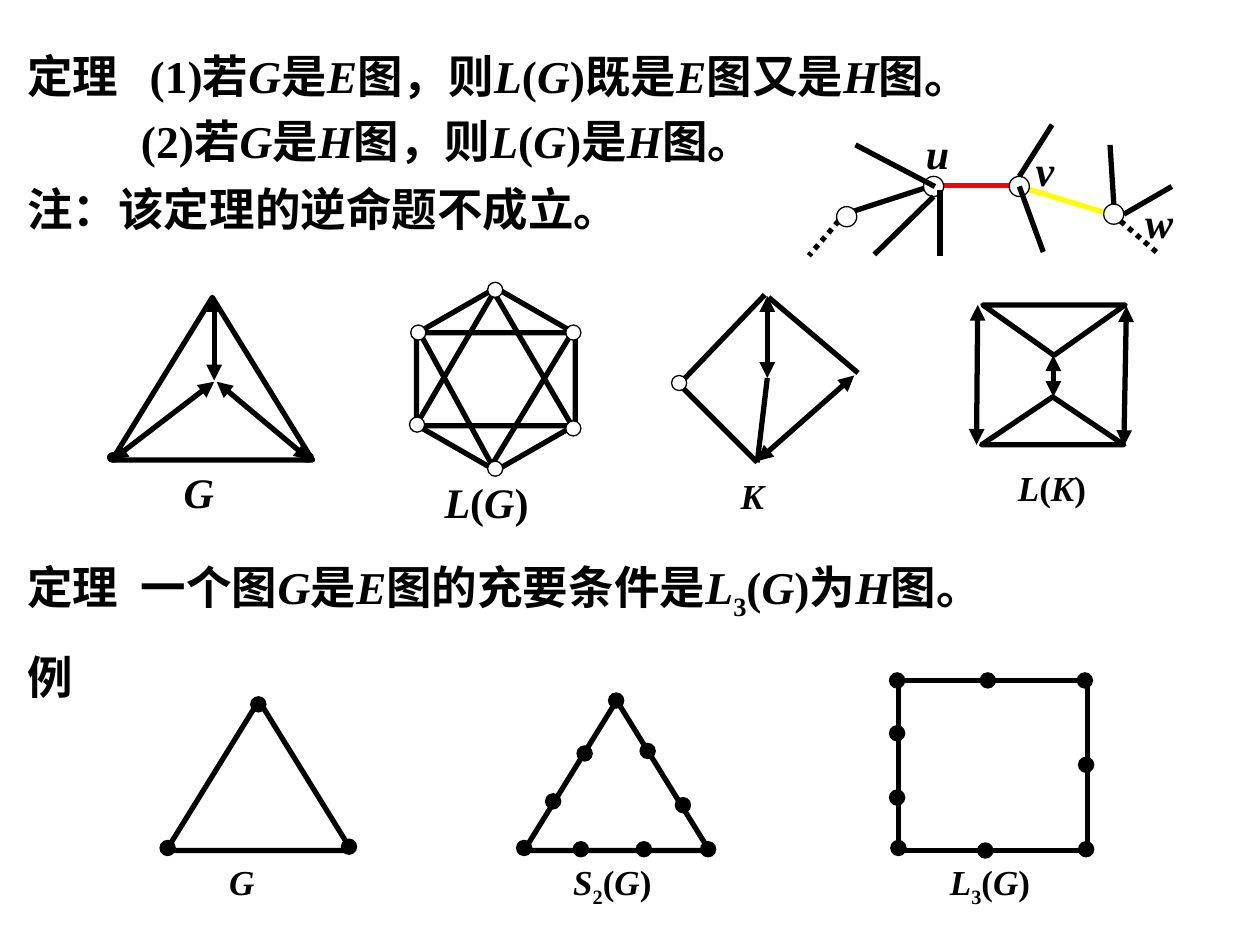
from dataclasses import dataclass

import pptx
import pptx.dml.color
import pptx.enum.dml
import pptx.enum.shapes
import pptx.enum.text
import pptx.oxml.ns
import pptx.util
from lxml import etree

Inches = pptx.util.Inches
Pt = pptx.util.Pt
RGBColor = pptx.dml.color.RGBColor
Preset = pptx.enum.shapes.MSO_SHAPE
qn = pptx.oxml.ns.qn

BLACK = RGBColor(0, 0, 0)
WHITE = RGBColor(255, 255, 255)
RED = RGBColor(255, 0, 0)
YELLOW = RGBColor(255, 255, 0)
DOTTED = pptx.enum.dml.MSO_LINE.ROUND_DOT
FRAME_FORMAT = {
    "word_wrap": True,
    "auto_size": pptx.enum.text.MSO_AUTO_SIZE.SHAPE_TO_FIT_TEXT,
}
FONT_FORMAT = {"name": "Times New Roman", "bold": True}


@dataclass
class Line:
    text: str
    indent: float = 0
    tab: float = 0


@dataclass
class Label:
    left: float
    top: float
    width: float
    height: float
    size: int
    lines: list[Line]


@dataclass
class Edge:
    start: tuple[float, float]
    end: tuple[float, float]
    tip: str = ""
    color: RGBColor = BLACK
    dash: object = None
    width: float = 3


@dataclass
class Outline:
    preset: object
    left: float
    top: float
    width: float
    height: float
    adjust: float = 0.5
    rotation: int = 0


@dataclass
class Nodes:
    fill: RGBColor
    size: float
    centres: list[tuple[float, float]]


EDGES = [
    Edge((1.7, 2.35), (1.7, 3.02), "triangle"),
    Edge((0.89, 3.63), (0.91, 3.63), "oval", width=1.5),
    Edge((2.43, 3.63), (2.45, 3.63), "oval", width=1.5),
    Edge((1.7, 3.03), (0.89, 3.65), "triangle"),
    Edge((1.72, 3.03), (2.46, 3.65), "triangle"),
    Edge((6.09, 3), (6.09, 2.35), "triangle"),
    Edge((6.1, 2.36), (6.81, 2.96)),
    Edge((6.07, 2.34), (5.39, 3.05)),
    Edge((6.78, 2.98), (6.01, 3.66), "triangle"),
    Edge((5.39, 3.05), (6.01, 3.67)),
    Edge((6.09, 3), (6.01, 3.67)),
    Edge((8.36, 2.82), (8.36, 3.15), "triangle"),
    Edge((7.76, 2.42), (7.75, 3.53), "triangle"),
    Edge((8.94, 2.43), (8.92, 3.54), "triangle"),
    Edge((7.41, 1.47), (6.7, 1.7)),
    Edge((7.41, 1.47), (8.08, 1.47), color=RED),
    Edge((8.06, 1.47), (8.81, 1.7), color=YELLOW),
    Edge((8.83, 1.7), (9.2, 2.02), dash=DOTTED),
    Edge((6.71, 1.69), (6.42, 2.03), dash=DOTTED),
]
SPOKES = [
    Edge((7.42, 1.48), (6.79, 1.15)),
    Edge((7.41, 1.56), (6.94, 2.02)),
    Edge((7.46, 1.51), (7.46, 2.03)),
    Edge((8.09, 1.4), (8.35, 0.99)),
    Edge((8.09, 1.48), (8.28, 2)),
    Edge((8.92, 1.7), (9.3, 1.48)),
    Edge((8.84, 1.62), (8.81, 1.15)),
]
TRIANGLE = Preset.ISOSCELES_TRIANGLE
OUTLINES = [
    Outline(TRIANGLE, 0.89, 2.36, 1.59, 1.29),
    Outline(Preset.HEXAGON, 3.21, 2.38, 1.45, 1.26, 0.287, 90),
    Outline(TRIANGLE, 3.3, 2.32, 1.24, 1.06),
    Outline(TRIANGLE, 3.33, 2.64, 1.21, 1.05, 0.526, 180),
    Outline(TRIANGLE, 7.79, 3.15, 1.13, 0.38),
    Outline(TRIANGLE, 7.8, 2.42, 1.13, 0.4, rotation=180),
    Outline(TRIANGLE, 1.32, 5.56, 1.47, 1.19),
    Outline(TRIANGLE, 4.16, 5.56, 1.47, 1.19),
    Outline(Preset.RECTANGLE, 7.13, 5.4, 1.5, 1.35),
]
NODES = [
    Nodes(WHITE, 0.12, [(3.93, 3.72), (4.55, 3.4), (3.31, 3.37), (3.32, 2.64),
                        (3.93, 2.3), (4.55, 2.64), (5.39, 3.04)]),
    Nodes(WHITE, 0.16, [(6.72, 1.72), (7.41, 1.48), (8.09, 1.48), (8.84, 1.7)]),
    Nodes(BLACK, 0.12, [(2.05, 5.59), (2.77, 6.72), (1.33, 6.73)]),
    Nodes(BLACK, 0.12, [(4.16, 6.73), (5.62, 6.74), (4.89, 5.56), (4.64, 5.98), (5.14, 5.96),
                        (5.42, 6.39), (4.39, 6.36), (4.61, 6.74), (5.11, 6.74)]),
    Nodes(BLACK, 0.12, [(7.84, 5.4), (7.12, 5.4), (7.12, 5.82), (7.12, 6.33), (7.13, 6.73),
                        (7.82, 6.75), (8.62, 6.74), (8.61, 5.4), (8.62, 6.07)]),
]
LABELS = [
    Label(0.12, 0.33, 9.76, 1.05, 26, [
        Line("定理\t(1)若|G|是|E|图，则|L|(|G|)既是|E|图又是|H|图。", tab=0.97),
        Line("(2)若|G|是|H|图，则|L|(|G|)是|H|图。", indent=0.9)]),
    Label(0.12, 1.39, 9.53, 0.54, 26, [Line("注：该定理的逆命题不成立。")]),
    Label(0.12, 4.39, 9.76, 0.6, 26, [
        Line("定理\t一个图|G|是|E|图的充要条件是|L|3|(|G|)为|H|图。", tab=0.9)]),
    Label(0.12, 5.1, 0.94, 0.54, 26, [Line("例")]),
    Label(1.36, 3.65, 0.63, 0.5, 24, [Line("G")]),
    Label(3.43, 3.73, 1.01, 0.5, 24, [Line("L|(|G|)")]),
    Label(5.78, 3.72, 0.38, 0.44, 20, [Line("K")]),
    Label(7.98, 3.65, 0.87, 0.44, 20, [Line("L|(|K|)")]),
    Label(1.72, 6.78, 0.39, 0.44, 20, [Line("G")]),
    Label(4.45, 6.78, 0.92, 0.48, 20, [Line("S|2|(|G|)")]),
    Label(7.44, 6.78, 0.92, 0.48, 20, [Line("L|3|(|G|)")]),
    Label(7.25, 0.96, 0.38, 0.5, 24, [Line("u")]),
    Label(8.12, 1.1, 0.35, 0.5, 24, [Line("v")]),
    Label(8.99, 1.51, 0.42, 0.5, 24, [Line("w")]),
]


def draw_edge(page, edge: Edge) -> None:
    points = [Inches(value) for value in (*edge.start, *edge.end)]
    connector = page.shapes.add_connector(pptx.enum.shapes.MSO_CONNECTOR.STRAIGHT, *points)
    connector.line.color.rgb = edge.color
    connector.line.width = Pt(edge.width)
    if edge.dash:
        connector.line.dash_style = edge.dash
    properties = connector.element.spPr
    if edge.tip:
        for end in ("a:headEnd", "a:tailEnd"):
            etree.SubElement(properties.find(qn("a:ln")), qn(end), type=edge.tip)
    etree.SubElement(properties, qn("a:effectLst"))


def draw_outline(page, outline: Outline, fill=None, width: float = 3) -> None:
    frame = (outline.left, outline.top, outline.width, outline.height)
    shape = page.shapes.add_shape(outline.preset, *[Inches(value) for value in frame])
    shape.shadow.inherit = False
    shape.rotation = outline.rotation
    shape.line.color.rgb = BLACK
    shape.line.width = Pt(width)
    if len(shape.adjustments):
        shape.adjustments[0] = outline.adjust
    if fill is None:
        shape.fill.background()
    else:
        shape.fill.solid()
        shape.fill.fore_color.rgb = fill


def draw_nodes(page, nodes: Nodes) -> None:
    for x, y in nodes.centres:
        corner = (x - nodes.size / 2, y - nodes.size / 2)
        draw_outline(page, Outline(Preset.OVAL, *corner, nodes.size, nodes.size), nodes.fill, 0.75)


def write_line(para, line: Line, size: int) -> None:
    properties = para._p.get_or_add_pPr()
    if line.indent:
        properties.set("marL", str(Inches(line.indent)))
        properties.set("indent", "0")
    if line.tab:
        stops = etree.SubElement(properties, qn("a:tabLst"))
        etree.SubElement(stops, qn("a:tab"), pos=str(Inches(line.tab)), algn="l")
    for piece in line.text.split("|"):
        span = para.add_run()
        span.text = piece
        italic = piece.isascii() and piece.isalpha()
        for name, value in {**FONT_FORMAT, "size": Pt(size), "italic": italic}.items():
            setattr(span.font, name, value)
        span.font.color.rgb = BLACK
        if piece.isdigit():
            span.font._element.set("baseline", "-25000")


def draw_label(page, label: Label) -> None:
    frame = (label.left, label.top, label.width, label.height)
    box = page.shapes.add_textbox(*[Inches(value) for value in frame])
    for name, value in FRAME_FORMAT.items():
        setattr(box.text_frame, name, value)
    for index, line in enumerate(label.lines):
        para = box.text_frame.add_paragraph() if index else box.text_frame.paragraphs[0]
        if index:
            para.space_before = Pt(6)
        write_line(para, line, label.size)


def main() -> None:
    deck = pptx.Presentation()
    deck.slide_width, deck.slide_height = Inches(10), Inches(7.5)
    page = deck.slides.add_slide(deck.slide_layouts[6])
    layers = [(draw_edge, EDGES), (draw_outline, OUTLINES), (draw_nodes, NODES),
              (draw_edge, SPOKES), (draw_label, LABELS)]
    for draw, items in layers:
        for item in items:
            draw(page, item)
    deck.save("out.pptx")


if __name__ == "__main__":
    main()
